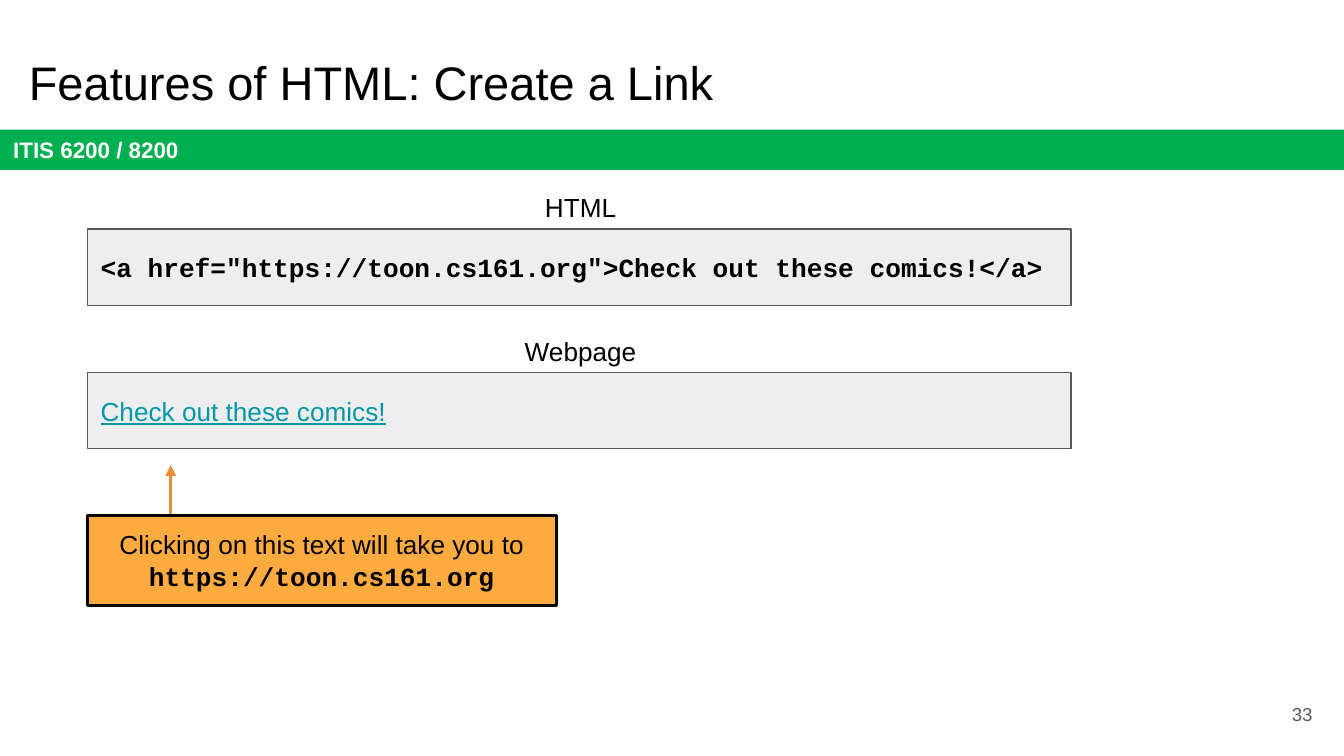
from dataclasses import dataclass
from typing import NamedTuple

from lxml.etree import SubElement
from pptx import Presentation
from pptx.dml.color import RGBColor as RGB
from pptx.enum.shapes import MSO_CONNECTOR as Conn, MSO_SHAPE as Shape
from pptx.enum.text import MSO_ANCHOR as Anchor, MSO_AUTO_SIZE as AutoSize, PP_ALIGN as Align
from pptx.oxml.ns import qn
from pptx.util import Inches, Pt

COLUMNS = 100
SLIDE_W = Inches(10)
SLIDE_H = SLIDE_W * 9 // 16


@dataclass(frozen=True)
class Theme:
    sans: str = "Arial"
    mono: str = "Courier New"
    ink: str = "000000"
    paper: str = "FFFFFF"
    band: str = "00B050"
    panel: str = "EEEEEE"
    grey: str = "595959"
    link: str = "0097A7"
    callout: str = "FFAB40"
    arrow: str = "E69138"
    title: float = 25.2
    body: float = 14
    course: float = 12
    number: float = 10
    thin: float = 0.75
    thick: float = 1.5


T = Theme()


class Run(NamedTuple):
    text: str
    size: float = T.body
    color: str = T.ink
    font: str = T.sans
    bold: bool = False
    underline: bool = False


class Area(NamedTuple):
    col: float
    row: float
    cols: float
    rows: float


class Panel(NamedTuple):
    label: str
    row: float
    content: Run


PANELS = (
    Panel("HTML", 17.03, Run('<a href="https://toon.cs161.org">Check out these comics!</a>',
                             font=T.mono, bold=True)),
    Panel("Webpage", 27.7, Run("Check out these comics!", color=T.link, underline=True)),
)
LEFT, PANEL_COLS, PANEL_ROWS = 6.5, 73.2, 5.7
LABEL_RISE, LABEL_ROWS = 3.75, 4.4
ARROW_COL, ARROW_START, ARROW_END = 12.7, 41.1, 34.6


def cells(n: float) -> int:
    return round(SLIDE_W * n / COLUMNS)


def write(sp, runs, align=Align.LEFT, anchor=Anchor.MIDDLE) -> None:
    tf = sp.text_frame
    tf.word_wrap = True
    tf.auto_size = AutoSize.NONE
    tf.vertical_anchor = anchor
    tf.margin_left = tf.margin_right = tf.margin_top = tf.margin_bottom = cells(1)
    p = tf.paragraphs[0]
    p.alignment = align
    for run in runs:
        r = p.add_run()
        r.text = run.text
        r.font.name = run.font
        r.font.size = Pt(run.size)
        r.font.bold = run.bold
        r.font.underline = run.underline
        r.font.color.rgb = RGB.from_string(run.color)


def add_box(s, area: Area, fill: str, line: str = "", width: float = 0):
    sp = s.shapes.add_shape(Shape.RECTANGLE, *map(cells, area))
    sp.shadow.inherit = False
    sp.fill.solid()
    sp.fill.fore_color.rgb = RGB.from_string(fill)
    if line:
        sp.line.color.rgb = RGB.from_string(line)
        sp.line.width = Pt(width)
    else:
        sp.line.fill.background()
    return sp


def add_text(s, area: Area, run: Run, align, anchor) -> None:
    write(s.shapes.add_textbox(*map(cells, area)), [run], align, anchor)


def add_arrow(s, col: float, start: float, end: float) -> None:
    c = s.shapes.add_connector(Conn.STRAIGHT, *map(cells, (col, start, col, end)))
    c.line.color.rgb = RGB.from_string(T.arrow)
    c.line.width = Pt(T.thick)
    SubElement(c.line._get_or_add_ln(), qn("a:tailEnd"), type="triangle")
    SubElement(c._element.spPr, qn("a:effectLst"))


def add_panel(s, panel: Panel) -> None:
    sp = add_box(s, Area(LEFT, panel.row, PANEL_COLS, PANEL_ROWS), T.panel, T.grey, T.thin)
    write(sp, [panel.content])
    label = Area(LEFT + 0.1, panel.row - LABEL_RISE, PANEL_COLS, LABEL_ROWS)
    add_text(s, label, Run(panel.label), Align.CENTER, Anchor.TOP)


def set_title(s, area: Area, text: str) -> None:
    title = s.shapes.title
    title.left, title.top, title.width, title.height = map(cells, area)
    write(title, [Run(text, T.title)], anchor=Anchor.TOP)


def main() -> None:
    prs = Presentation()
    prs.slide_width, prs.slide_height = SLIDE_W, SLIDE_H
    s = prs.slides.add_slide(prs.slide_layouts[5])
    s.background.fill.solid()
    s.background.fill.fore_color.rgb = RGB.from_string(T.paper)

    band = add_box(s, Area(0, 9.64, COLUMNS, 3), T.band)
    write(band, [Run("ITIS 6200 / 8200", T.course, T.paper, bold=True)])
    add_arrow(s, ARROW_COL, ARROW_START, ARROW_END)
    set_title(s, Area(1.14, 3, 93.2, 6.3), "Features of HTML: Create a Link")
    add_text(s, Area(92.65, 51, 6, 4.3), Run("33", T.number, T.grey), Align.RIGHT, Anchor.MIDDLE)
    for panel in PANELS:
        add_panel(s, panel)
    callout = add_box(s, Area(LEFT, 38.34, 34.9, 6.7), T.callout, T.ink, T.thick)
    write(callout, [Run("Clicking on this text will take you to "),
                    Run("https://toon.cs161.org", font=T.mono, bold=True)],
          Align.CENTER, Anchor.TOP)
    prs.save("out.pptx")


if __name__ == "__main__":
    main()
